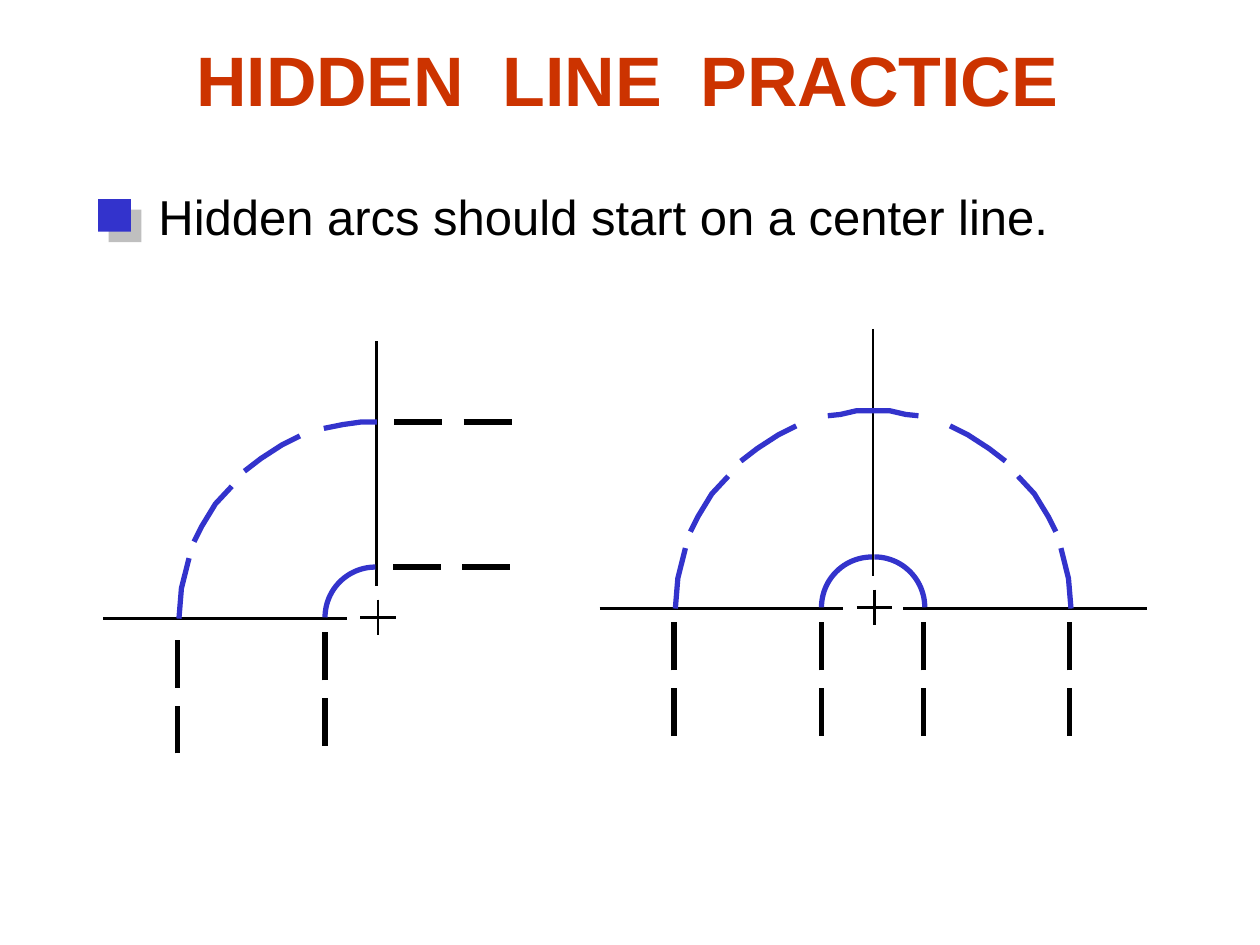
from dataclasses import dataclass

from lxml.etree import SubElement
from pptx import Presentation
from pptx.dml.color import RGBColor
from pptx.enum.shapes import MSO_CONNECTOR, MSO_SHAPE
from pptx.enum.text import MSO_ANCHOR, MSO_AUTO_SIZE, PP_ALIGN
from pptx.oxml import parse_xml
from pptx.oxml.ns import nsdecls, qn
from pptx.util import Inches, Pt


@dataclass(frozen=True)
class Theme:
    font: str = "Arial"
    title: RGBColor = RGBColor(0xCC, 0x33, 0x00)
    ink: RGBColor = RGBColor(0x00, 0x00, 0x00)
    accent: RGBColor = RGBColor(0x33, 0x33, 0xCC)
    shadow: str = "808080"
    title_size: Pt = Pt(40)
    body_size: Pt = Pt(28)
    thin: Pt = Pt(1.5)
    thick: Pt = Pt(3)


theme = Theme()
presentation = Presentation()
presentation.slide_width = Inches(10)
presentation.slide_height = Inches(7.5)
slide = presentation.slides.add_slide(presentation.slide_layouts[5])
shapes = slide.shapes


def add_line(start_x, start_y, end_x, end_y, width):
    line = shapes.add_connector(
        MSO_CONNECTOR.STRAIGHT,
        Inches(start_x), Inches(start_y), Inches(end_x), Inches(end_y),
    )
    line.line.color.rgb = theme.ink
    line.line.width = width
    SubElement(line._element.spPr, qn("a:effectLst"))


def style_arc(shape):
    shape.shadow.inherit = False
    shape.fill.background()
    shape.line.color.rgb = theme.accent
    shape.line.width = theme.thick


title = shapes.title
title.left, title.top = Inches(0.73), Inches(0)
title.width, title.height = Inches(8.5), Inches(1.25)
title.text_frame.text = "HIDDEN  LINE  PRACTICE"
title.text_frame.vertical_anchor = MSO_ANCHOR.MIDDLE
paragraph = title.text_frame.paragraphs[0]
paragraph.alignment = PP_ALIGN.CENTER
paragraph.font.name = theme.font
paragraph.font.size = theme.title_size
paragraph.font.bold = True
paragraph.font.color.rgb = theme.title

rule = shapes.add_textbox(Inches(1.16), Inches(1.43), Inches(7.26), Inches(0.57))
rule.text_frame.word_wrap = False
rule.text_frame.auto_size = MSO_AUTO_SIZE.SHAPE_TO_FIT_TEXT
rule.text_frame.text = "Hidden arcs should start on a center line."
paragraph = rule.text_frame.paragraphs[0]
paragraph.font.name = theme.font
paragraph.font.size = theme.body_size
paragraph.font.color.rgb = theme.ink

marker = shapes.add_shape(
    MSO_SHAPE.RECTANGLE, Inches(0.78), Inches(1.58), Inches(0.26), Inches(0.26)
)
marker.fill.solid()
marker.fill.fore_color.rgb = theme.accent
marker.line.fill.background()
marker._element.spPr.append(parse_xml(
    f'<a:effectLst {nsdecls("a")}>'
    f'<a:outerShdw dist="{Pt(8.5)}" dir="2700000" algn="ctr" rotWithShape="0">'
    f'<a:srgbClr val="{theme.shadow}"><a:alpha val="50000"/></a:srgbClr>'
    '</a:outerShdw></a:effectLst>'
))

side_dashes = [
    [(1.57, 0), (1.55, 0.24), (1.49, 0.48)],
    [(1.45, 0.61), (1.39, 0.73), (1.28, 0.91), (1.15, 1.05)],
    [(1.05, 1.17), (0.92, 1.27), (0.75, 1.38), (0.61, 1.45)],
]
quarter_top = [(0.42, 1.51), (0.27, 1.54), (0.13, 1.56), (0, 1.56)]
half_top = [(0.36, 1.53), (0.26, 1.54), (0.13, 1.57), (0, 1.57)]
inner_radius = 0.4
views = [
    (2.99, 4.91, [-1], quarter_top, 2.71),
    (6.93, 4.83, [-1, 1], half_top, 2.61),
]
for center_x, center_y, sides, top_dash, axis_top in views:
    add_line(center_x, axis_top, center_x, center_y - 0.26, theme.thin)
    add_line(center_x - 0.13, center_y - 0.01, center_x + 0.15, center_y - 0.01, theme.thin)
    add_line(center_x + 0.01, center_y - 0.15, center_x + 0.01, center_y + 0.13, theme.thin)
    for side in sides:
        add_line(center_x + side * 2.17, center_y, center_x + side * 0.24, center_y, theme.thin)
        for dash in side_dashes + [top_dash]:
            points = [
                (Inches(center_x + side * x), Inches(center_y - y)) for x, y in dash
            ]
            builder = shapes.build_freeform(*points[0])
            builder.add_line_segments(points[1:], close=False)
            style_arc(builder.convert_to_shape())
        inner_arc = shapes.add_shape(
            MSO_SHAPE.ARC,
            Inches(center_x - inner_radius + side * 0.01),
            Inches(center_y - inner_radius - 0.01),
            Inches(2 * inner_radius), Inches(2 * inner_radius),
        )
        inner_arc.rotation = 270 if side < 0 else 0
        style_arc(inner_arc)

dash_length = 0.38
vertical_columns = [
    (1.41, 5.08), (2.58, 5.02),
    (5.35, 4.94), (6.52, 4.94), (7.33, 4.94), (8.49, 4.94),
]
for x, top in vertical_columns:
    for y in (top, top + 0.52):
        add_line(x, y + dash_length, x, y, theme.thick)
for left, y in [(3.13, 3.35), (3.12, 4.5)]:
    for x in (left, left + 0.55):
        add_line(x, y, x + dash_length, y, theme.thick)

presentation.save("out.pptx")
